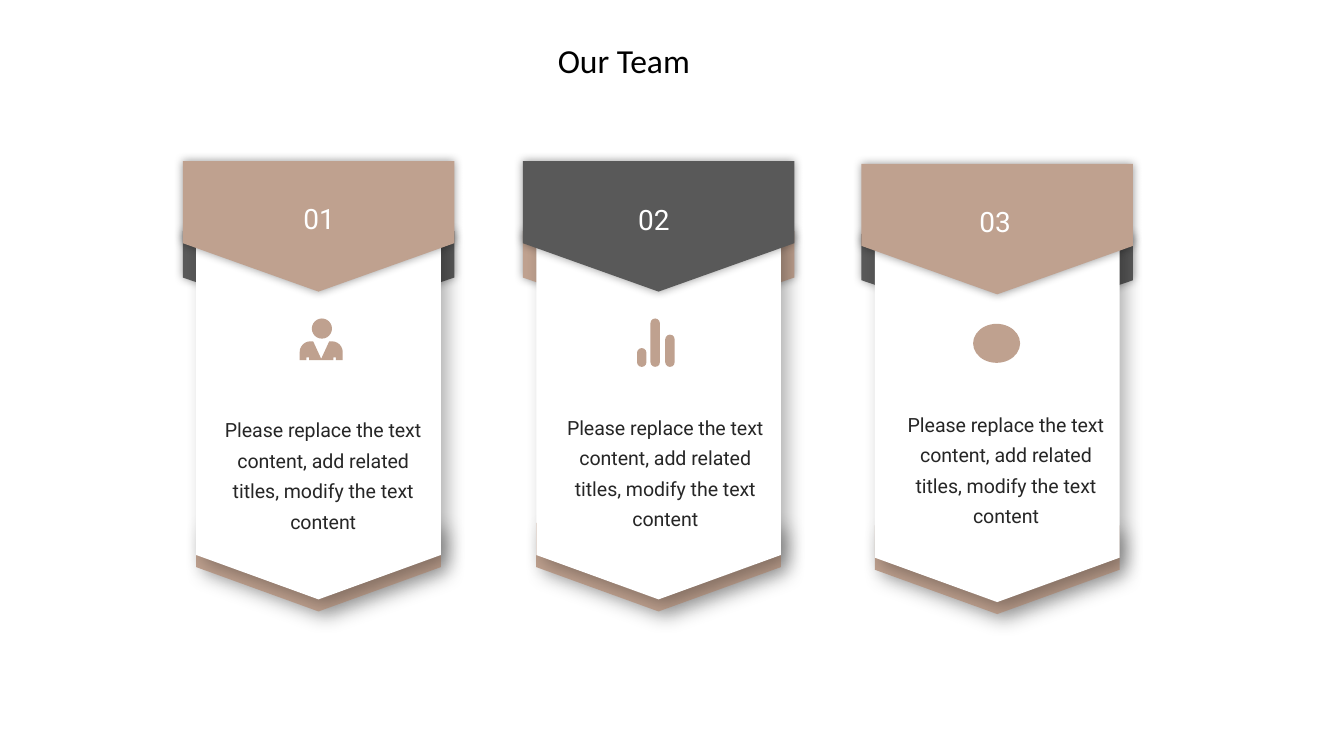
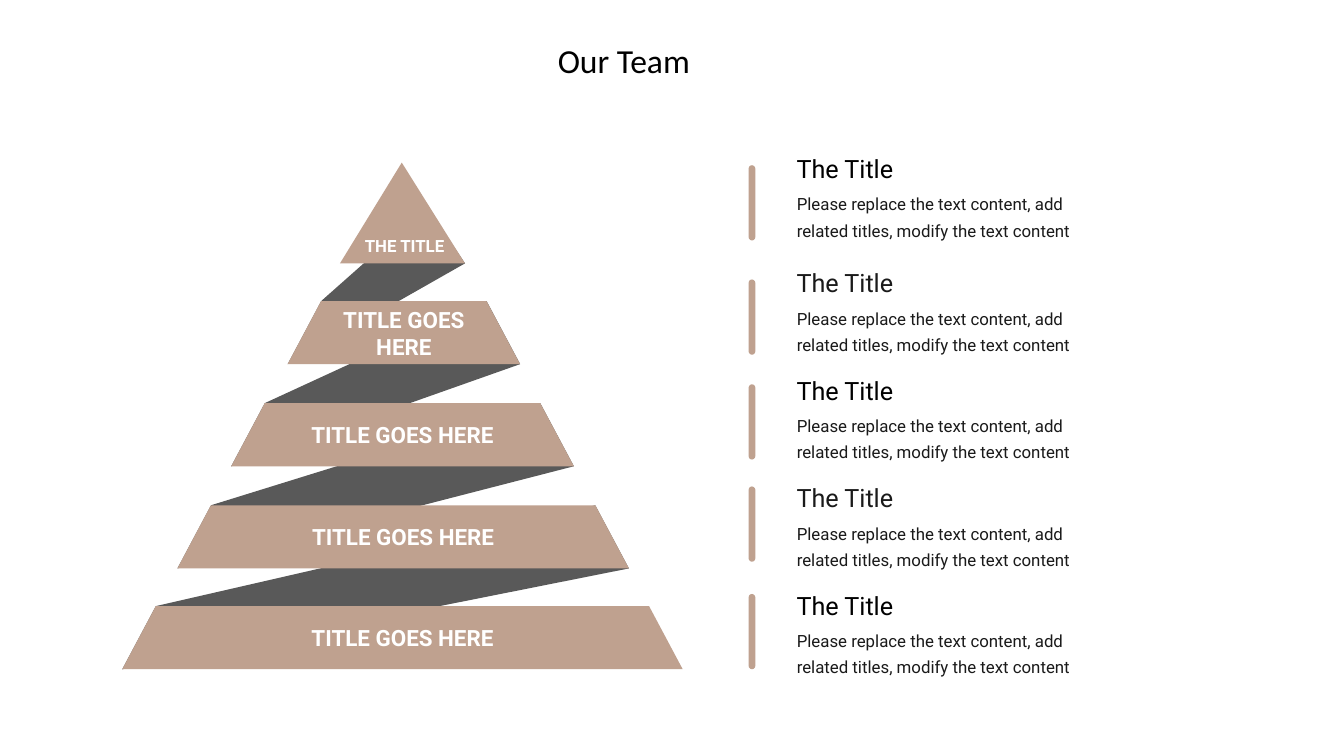
import math
from dataclasses import dataclass

from lxml import etree
from pptx import Presentation
from pptx import slide as slides
from pptx import util as u
from pptx.dml import color
from pptx.enum import shapes, text
from pptx.oxml import ns
from pptx.shapes import autoshape, shapetree as tree

Point = tuple[float, float]
Box = tuple[float, float, float, float]
Preset = shapes.MSO_SHAPE


@dataclass(frozen=True)
class Theme:
    tan: str = "BFA18F"
    gray: str = "595959"
    white: str = "FFFFFF"
    black: str = "000000"
    ink: str = "262626"
    soft_black: str = "1A1A1A"
    title_font: str = "Calibri"
    body_font: str = "Roboto"
    title: float = 18
    number: float = 15
    item_title: float = 13.5
    band: float = 12
    card_body: float = 10.5
    small: float = 9
    body_spacing: float = 1.3


@dataclass(frozen=True)
class Shadow:
    """Black outer shadow: opacity in percent, lengths in points, angle in degrees."""
    opacity: int
    blur: float
    distance: float
    angle: int


@dataclass(frozen=True)
class Card:
    number: str
    center: float
    top: float
    flag_color: str
    fold_color: str
    number_left: float
    number_top: float
    body_left: float
    body_top: float


@dataclass(frozen=True)
class Band:
    top: float
    left: float
    right: float

    @property
    def left_edge(self) -> list[Point]:
        return [(self.left + BAND_SLANT, self.top), (self.left, self.top + BAND_HEIGHT)]

    @property
    def right_edge(self) -> list[Point]:
        return [(self.right - BAND_SLANT, self.top), (self.right, self.top + BAND_HEIGHT)]


@dataclass(frozen=True)
class Item:
    bar_top: float
    title_top: float
    title_color: str


THEME = Theme()
GLOW = Shadow(40, 5, 0, 0)
DROP = Shadow(30, 10, 5, 45)
BODY = "Please replace the text content, add related titles, modify the text content"
FLAG_HALF, PANEL_HALF = 1.01, 0.91
BAND_HEIGHT, BAND_SLANT = 0.47, 0.25

CARDS = [
    Card("01", 2.37, 1.2, THEME.tan, THEME.gray, 2.11, 1.45, 1.53, 3.01),
    Card("02", 4.9, 1.2, THEME.gray, THEME.tan, 4.6, 1.46, 4.09, 2.99),
    Card("03", 7.42, 1.22, THEME.tan, THEME.gray, 7.14, 1.47, 6.64, 2.97),
]
APEX = [(2.99, 1.21), (3.46, 1.96), (2.53, 1.96)]
APEX_RIGHT_EDGE = [(3.18, 1.54), (3.46, 1.96)]
BANDS = [
    Band(2.24, 2.14, 3.87),
    Band(3.0, 1.72, 4.27),
    Band(3.76, 1.32, 4.68),
    Band(4.51, 0.91, 5.08),
]
ITEMS = [
    Item(1.23, 1.09, THEME.black),
    Item(2.08, 1.94, THEME.soft_black),
    Item(2.86, 2.74, THEME.black),
    Item(3.62, 3.54, THEME.soft_black),
    Item(4.42, 4.34, THEME.black),
]


def inches(box: Box) -> list[u.Length]:
    return [u.Inches(length) for length in box]


def paint(shape: autoshape.Shape, fill: str, shadow: Shadow | None = None) -> None:
    """Give a shape a plain fill, no outline and only the shadow asked for."""
    shape.fill.solid()
    shape.fill.fore_color.rgb = color.RGBColor.from_string(fill)
    shape.line.fill.background()
    shape.shadow.inherit = False
    if shadow is None:
        return
    effects = shape.element.spPr.find(ns.qn("a:effectLst"))
    outer = etree.SubElement(
        effects, ns.qn("a:outerShdw"),
        blurRad=str(u.Pt(shadow.blur)), dist=str(u.Pt(shadow.distance)),
        dir=str(shadow.angle * 60000), algn="ctr", rotWithShape="0")
    tint = etree.SubElement(outer, ns.qn("a:srgbClr"), val=THEME.black)
    etree.SubElement(tint, ns.qn("a:alpha"), val=str(shadow.opacity * 1000))


def add_preset(canvas: tree.GroupShapes, preset: Preset, box: Box, fill: str) -> autoshape.Shape:
    shape = canvas.add_shape(preset, *inches(box))
    paint(shape, fill)
    return shape


def add_outline(canvas: tree.GroupShapes, points: list[Point], fill: str,
                shadow: Shadow | None = None) -> None:
    corners = [(u.Inches(x), u.Inches(y)) for x, y in points]
    builder = canvas.build_freeform(*corners[0])
    builder.add_line_segments(corners[1:], close=True)
    paint(builder.convert_to_shape(), fill, shadow)


def write(shape: autoshape.Shape, words: str, size: float, ink: str, *,
          font: str = THEME.body_font, bold: bool = False, centered: bool = False,
          spacing: float | None = None) -> None:
    frame = shape.text_frame
    frame.text = words
    frame.word_wrap = True
    paragraph = frame.paragraphs[0]
    paragraph.alignment = text.PP_ALIGN.CENTER if centered else text.PP_ALIGN.LEFT
    if spacing is not None:
        paragraph.line_spacing = spacing
    paragraph.font.name = font
    paragraph.font.size = u.Pt(size)
    paragraph.font.bold = bold
    paragraph.font.color.rgb = color.RGBColor.from_string(ink)


def add_text(canvas: tree.GroupShapes, box: Box, words: str, size: float, ink: str, *,
             centered: bool = False, spacing: float | None = None) -> None:
    shape = canvas.add_textbox(*inches(box))
    write(shape, words, size, ink, centered=centered, spacing=spacing)
    shape.text_frame.auto_size = text.MSO_AUTO_SIZE.SHAPE_TO_FIT_TEXT


def write_label(shape: autoshape.Shape, words: str, size: float) -> None:
    """Write a bold white label in the middle of a shape, without insets."""
    write(shape, words, size, THEME.white, bold=True, centered=True)
    frame = shape.text_frame
    frame.vertical_anchor = text.MSO_ANCHOR.MIDDLE
    frame.margin_left = frame.margin_right = frame.margin_top = frame.margin_bottom = 0


def add_team_slide(presentation: Presentation) -> slides.Slide:
    slide = presentation.slides.add_slide(presentation.slide_layouts[5])
    title = slide.shapes.title
    title.left, title.top, title.width, title.height = inches((4.05, 0.25, 1.31, 0.71))
    write(title, "Our Team", THEME.title, THEME.black, font=THEME.title_font)
    title.text_frame.vertical_anchor = text.MSO_ANCHOR.TOP
    title.text_frame.auto_size = text.MSO_AUTO_SIZE.NONE
    return slide


def pennant(center: float, half: float, top: float, side: float, tip: float) -> list[Point]:
    left, right = center - half, center + half
    return [(left, top), (right, top), (right, top + side),
            (center, top + tip), (left, top + side)]


def add_fold(canvas: tree.GroupShapes, center: float, half: float, top: float,
             height: float, fill: str, shadow: Shadow) -> None:
    """Add a pentagon that is turned to point down."""
    box = (center - height / 2, top + height / 2 - half, height, 2 * half)
    fold = canvas.add_shape(Preset.PENTAGON, *inches(box))
    fold.rotation = 90
    paint(fold, fill, shadow)


def add_card(canvas: tree.GroupShapes, card: Card) -> None:
    add_fold(canvas, card.center, FLAG_HALF, card.top + 0.52, 0.69, card.fold_color, GLOW)
    add_fold(canvas, card.center, PANEL_HALF, card.top + 2.69, 0.66, THEME.tan, DROP)
    panel = pennant(card.center, PANEL_HALF, card.top + 0.52, 2.41, 2.74)
    add_outline(canvas, panel, THEME.white, DROP)
    body_width = card.center + PANEL_HALF - card.body_left
    add_text(canvas, (card.body_left, card.body_top, body_width, 1.25), BODY,
             THEME.card_body, THEME.ink, centered=True, spacing=THEME.body_spacing)
    flag = pennant(card.center, FLAG_HALF, card.top, 0.61, 0.97)
    add_outline(canvas, flag, card.flag_color, GLOW)
    add_text(canvas, (card.number_left, card.number_top, 0.53, 0.35), card.number,
             THEME.number, THEME.white, centered=True)


def add_person_icon(canvas: tree.GroupShapes) -> None:
    add_preset(canvas, Preset.OVAL, (2.32, 2.37, 0.15, 0.15), THEME.tan)
    angles = [math.radians(degrees) for degrees in range(0, 91, 15)]
    shoulder = [(0.08 + 0.08 * math.sin(a), 2.62 - 0.08 * math.cos(a)) for a in angles]
    half = [(0, 2.67), (0.06, 2.54), *shoulder, (0.16, 2.68), (0.11, 2.68),
            (0.11, 2.66), (0.09, 2.66), (0.09, 2.68)]
    center = 2.39
    right = [(center + x, y) for x, y in half]
    left = [(center - x, y) for x, y in reversed(half[1:])]
    add_outline(canvas, right + left, THEME.tan)


def add_bars_icon(canvas: tree.GroupShapes) -> None:
    bottom = 2.73
    for left, height in [(4.74, 0.14), (4.84, 0.36), (4.95, 0.24)]:
        bar = add_preset(canvas, Preset.ROUNDED_RECTANGLE,
                         (left, bottom - height, 0.07, height), THEME.tan)
        bar.adjustments[0] = 0.5


def add_dot_icon(canvas: tree.GroupShapes) -> None:
    add_preset(canvas, Preset.OVAL, (7.24, 2.41, 0.35, 0.29), THEME.tan)


def add_pyramid(canvas: tree.GroupShapes) -> None:
    right_edges = [APEX_RIGHT_EDGE] + [band.right_edge for band in BANDS[:-1]]
    for (upper_top, upper_bottom), band in zip(right_edges, BANDS):
        add_outline(canvas, [upper_top, *band.left_edge, upper_bottom], THEME.gray)
    add_outline(canvas, APEX, THEME.tan)
    apex_label = canvas.add_textbox(*inches((2.55, 1.63, 0.92, 0.39)))
    write_label(apex_label, "THE TITLE", THEME.small)
    margin = 0.26
    for band in BANDS:
        add_outline(canvas, band.left_edge + band.right_edge[::-1], THEME.tan)
        box = (band.left + margin, band.top + 0.04, band.right - band.left - 2 * margin, 0.39)
        label = add_preset(canvas, Preset.RECTANGLE, box, THEME.tan)
        write_label(label, "TITLE GOES HERE", THEME.band)


def add_item(canvas: tree.GroupShapes, item: Item) -> None:
    bar = add_preset(canvas, Preset.ROUND_2_SAME_RECTANGLE,
                     (5.57, item.bar_top, 0.05, 0.56), THEME.tan)
    bar.adjustments[0] = bar.adjustments[1] = 0.5
    add_text(canvas, (5.83, item.title_top, 1.04, 0.33), "The Title",
             THEME.item_title, item.title_color)
    add_text(canvas, (5.83, item.title_top + 0.26, 2.48, 0.69), BODY,
             THEME.small, THEME.soft_black, spacing=THEME.body_spacing)


def build_cards_slide(presentation: Presentation) -> None:
    slide = add_team_slide(presentation)
    for card, add_icon in zip(CARDS, [add_person_icon, add_bars_icon, add_dot_icon]):
        canvas = slide.shapes.add_group_shape().shapes
        add_card(canvas, card)
        add_icon(canvas)


def build_pyramid_slide(presentation: Presentation) -> None:
    slide = add_team_slide(presentation)
    add_pyramid(slide.shapes.add_group_shape().shapes)
    for item in ITEMS:
        add_item(slide.shapes.add_group_shape().shapes, item)


def main() -> None:
    presentation = Presentation()
    presentation.slide_width = u.Inches(10)
    presentation.slide_height = u.Inches(10 * 9 / 16)
    build_cards_slide(presentation)
    build_pyramid_slide(presentation)
    presentation.save("out.pptx")


if __name__ == "__main__":
    main()
